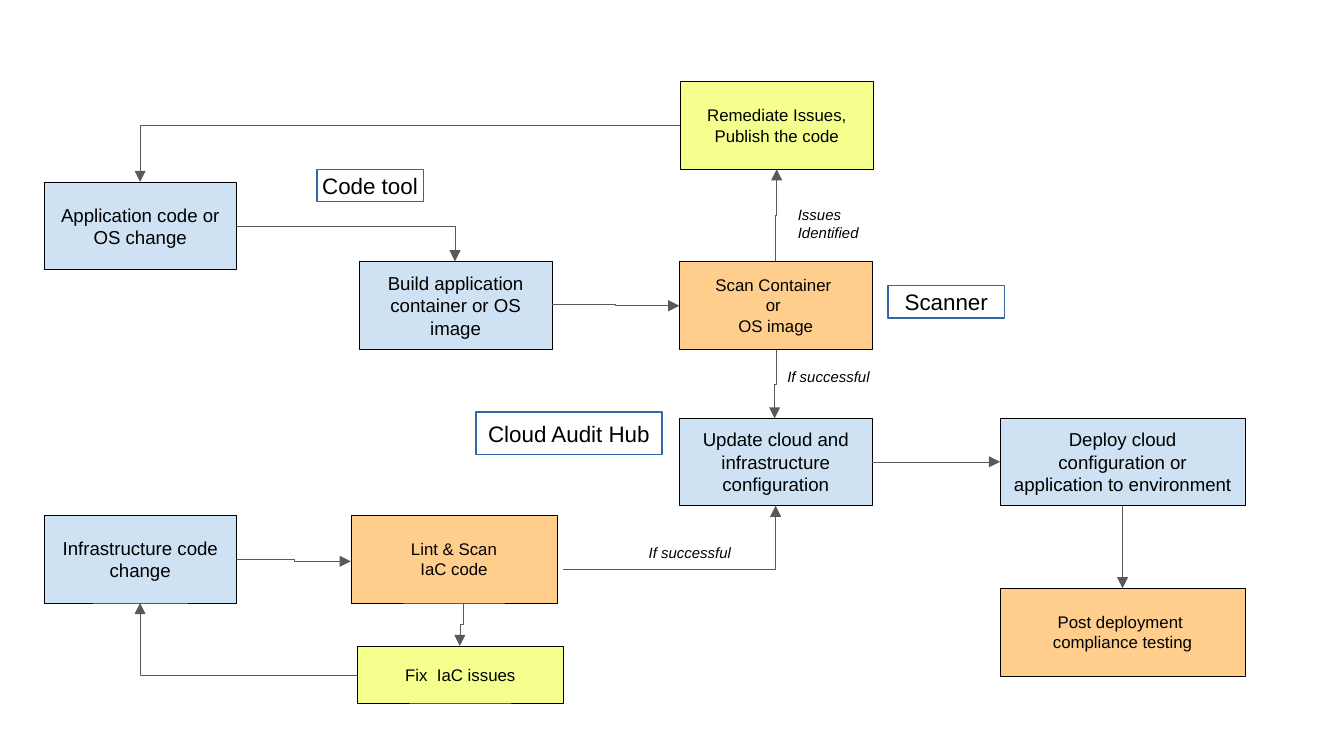
from typing import NamedTuple

import pptx
import pptx.dml.color
import pptx.enum.shapes
import pptx.enum.text
import pptx.oxml
import pptx.oxml.ns
import pptx.util
from pptx.util import Cm

BLUE, ORANGE, YELLOW = "CFE2F3", "FFCD8C", "F5FF8D"
BLACK, ARROW_GREY, TAG_BLUE = "000000", "595959", "3465A4"
STEP_WIDTH, WIDE_STEP, STEP_HEIGHT = 3.64, 4.63, 1.66
TOP, BOTTOM, LEFT, RIGHT = 0, 2, 1, 3
ALIGN = pptx.enum.text.PP_ALIGN
CONNECTOR = pptx.enum.shapes.MSO_CONNECTOR


class Step(NamedTuple):
    text: str
    left: float
    top: float
    fill: str
    size: float
    width: float = STEP_WIDTH
    height: float = STEP_HEIGHT


class Tag(NamedTuple):
    text: str
    left: float
    top: float
    width: float
    height: float


class Note(NamedTuple):
    text: str
    left: float
    top: float
    height: float


class Flow(NamedTuple):
    """An elbow arrow: 'corner' turns once, 'across' and 'upright' step sideways midway."""
    route: str
    start: tuple[float, float]
    end: tuple[float, float]


STEPS = {
    "build": Step("Build application container or OS image", 6.79, 4.94, BLUE, 10),
    "deploy": Step("Deploy cloud configuration or application to environment",
                   18.9, 7.9, BLUE, 10, WIDE_STEP),
    "update": Step("Update cloud and infrastructure configuration", 12.84, 7.9, BLUE, 10),
    "application": Step("Application code or OS change", 0.83, 3.44, BLUE, 10),
    "infrastructure": Step("Infrastructure code change", 0.83, 9.74, BLUE, 10),
    "scan": Step("Scan Container \nor \nOS image", 12.84, 4.94, ORANGE, 9),
    "test": Step("Post deployment \ncompliance testing", 18.9, 11.12, ORANGE, 9, WIDE_STEP),
    "lint": Step("Lint & Scan\nIaC code", 6.63, 9.74, ORANGE, 9, 3.9),
    "remediate": Step("Remediate Issues,\nPublish the code", 12.86, 1.54, YELLOW, 9),
    "fix": Step("Fix  IaC issues", 6.75, 12.21, YELLOW, 9, 3.9, 1.08),
}

FLOWS = [
    Flow("corner", (4.48, 4.27), (8.6, 4.94)),
    Flow("across", (10.43, 5.75), (12.84, 5.78)),
    Flow("upright", (14.67, 6.62), (14.64, 7.91)),
    Flow("across", (4.48, 10.57), (6.63, 10.61)),
    Flow("corner", (10.64, 10.76), (14.66, 9.56)),
    Flow("upright", (14.65, 4.94), (14.68, 3.2)),
    Flow("corner", (12.86, 2.36), (2.65, 3.44)),
    Flow("upright", (8.75, 11.4), (8.69, 12.21)),
    Flow("corner", (6.75, 12.76), (2.65, 11.4)),
]

JOINS = [("update", RIGHT, "deploy", LEFT), ("deploy", BOTTOM, "test", TOP)]

NOTES = [
    Note("If successful", 14.63, 6.83, 0.58),
    Note("Issues Identified", 14.83, 3.76, 0.91),
    Note("If successful", 12.01, 10.16, 0.58),
]

TAGS = [
    Tag("Scanner", 16.78, 5.4, 2.21, 0.61),
    Tag("Code tool", 5.99, 3.2, 2.01, 0.61),
    Tag("Cloud Audit Hub", 9, 7.79, 3.51, 0.8),
]


def colour(hex_code: str) -> pptx.dml.color.RGBColor:
    return pptx.dml.color.RGBColor.from_string(hex_code)


def write(shape, text: str, *, size: float, align=ALIGN.CENTER, italic=False, wrap=True,
          anchor=pptx.enum.text.MSO_ANCHOR.MIDDLE) -> None:
    frame = shape.text_frame
    frame.text = text
    frame.word_wrap = wrap
    frame.vertical_anchor = anchor
    for paragraph in frame.paragraphs:
        paragraph.alignment = align
        font = paragraph.font
        font.name, font.size, font.italic = "Arial", pptx.util.Pt(size), italic
        font.color.rgb = colour(BLACK)


def add_box(slide, box: Step | Tag, line: str, line_width: float):
    shape = slide.shapes.add_shape(
        pptx.enum.shapes.MSO_SHAPE.RECTANGLE,
        Cm(box.left), Cm(box.top), Cm(box.width), Cm(box.height))
    shape.shadow.inherit = False
    shape.line.color.rgb = colour(line)
    shape.line.width = pptx.util.Pt(line_width)
    return shape


def add_step(slide, step: Step):
    shape = add_box(slide, step, BLACK, 0.25)
    shape.fill.solid()
    shape.fill.fore_color.rgb = colour(step.fill)
    write(shape, step.text, size=step.size)
    return shape


def add_tag(slide, tag: Tag) -> None:
    shape = add_box(slide, tag, TAG_BLUE, 0.75)
    shape.fill.background()
    write(shape, tag.text, size=12, wrap=False)


def add_note(slide, note: Note) -> None:
    box = slide.shapes.add_textbox(Cm(note.left), Cm(note.top), Cm(2.39), Cm(note.height))
    write(box, note.text, size=8, align=ALIGN.LEFT, italic=True,
          anchor=pptx.enum.text.MSO_ANCHOR.TOP)
    box.text_frame.auto_size = pptx.enum.text.MSO_AUTO_SIZE.SHAPE_TO_FIT_TEXT


def style_arrow(connector) -> None:
    connector.line.color.rgb = colour(ARROW_GREY)
    connector.line.width = pptx.util.Pt(0.25)
    namespace = pptx.oxml.ns.nsdecls("a")
    connector.line._get_or_add_ln().append(
        pptx.oxml.parse_xml(f'<a:tailEnd {namespace} type="triangle"/>'))
    connector._element.spPr.append(pptx.oxml.parse_xml(f"<a:effectLst {namespace}/>"))


def add_flow(slide, flow: Flow) -> None:
    (x1, y1), (x2, y2) = flow.start, flow.end
    if flow.route == "upright":
        # Lay the path flat about its centre; the quarter turn below stands it up.
        centre_x, centre_y = (x1 + x2) / 2, (y1 + y2) / 2
        half_run, half_shift = (y2 - y1) / 2, (x1 - x2) / 2
        x1, x2 = centre_x - half_run, centre_x + half_run
        y1, y2 = centre_y - half_shift, centre_y + half_shift
    connector = slide.shapes.add_connector(CONNECTOR.ELBOW, Cm(x1), Cm(y1), Cm(x2), Cm(y2))
    properties = connector._element.spPr
    if flow.route == "upright":
        properties.find(pptx.oxml.ns.qn("a:xfrm")).set("rot", "5400000")
    elif flow.route == "corner":
        properties.find(pptx.oxml.ns.qn("a:prstGeom")).set("prst", "bentConnector2")
    style_arrow(connector)


def join_steps(slide, source, source_side: int, target, target_side: int) -> None:
    connector = slide.shapes.add_connector(CONNECTOR.STRAIGHT, 0, 0, 0, 0)
    connector.begin_connect(source, source_side)
    connector.end_connect(target, target_side)
    style_arrow(connector)


def main() -> None:
    deck = pptx.Presentation()
    deck.slide_width, deck.slide_height = Cm(25.4), Cm(14.29)
    slide = deck.slides.add_slide(deck.slide_layouts[6])
    steps = {key: add_step(slide, step) for key, step in STEPS.items()}
    for flow in FLOWS:
        add_flow(slide, flow)
    for source, source_side, target, target_side in JOINS:
        join_steps(slide, steps[source], source_side, steps[target], target_side)
    for note in NOTES:
        add_note(slide, note)
    for tag in TAGS:
        add_tag(slide, tag)
    deck.save("out.pptx")


if __name__ == "__main__":
    main()
